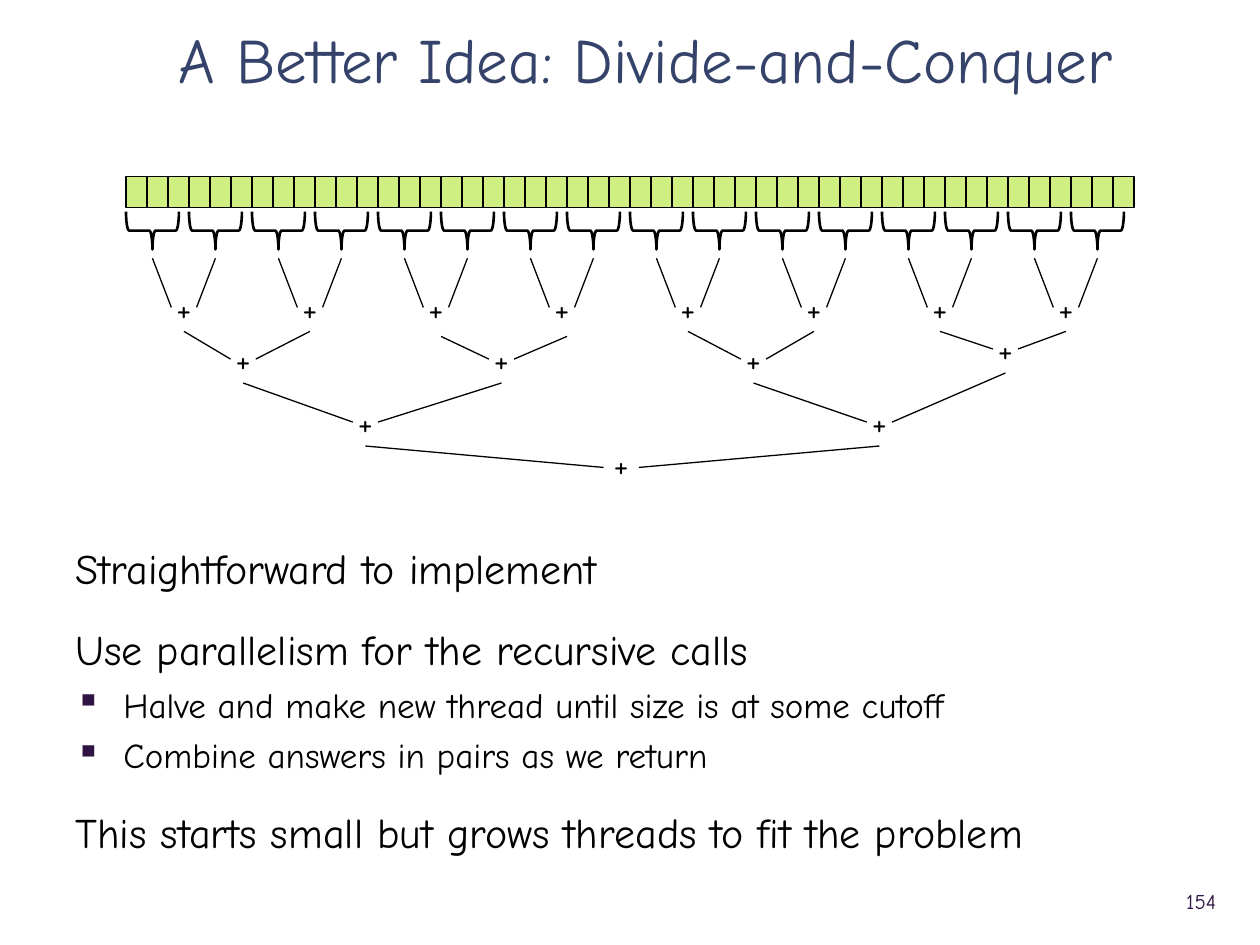
from lxml.etree import SubElement
from pptx import Presentation
from pptx.dml.color import RGBColor
from pptx.enum.shapes import MSO_CONNECTOR, MSO_SHAPE
from pptx.enum.text import MSO_ANCHOR, PP_ALIGN
from pptx.oxml.ns import qn
from pptx.util import Inches, Pt

FONT = "Comic Neue"
NAVY = RGBColor(0x35, 0x43, 0x6A)
PURPLE = RGBColor(0x2F, 0x13, 0x43)
GREEN = RGBColor(0xD0, 0xEF, 0x82)
BLACK = RGBColor(0, 0, 0)

presentation = Presentation()
presentation.slide_width = Inches(10)
presentation.slide_height = Inches(7.5)
slide = presentation.slides.add_slide(presentation.slide_layouts[6])


def style_text(paragraph, size, color, alignment=PP_ALIGN.LEFT):
    paragraph.alignment = alignment
    for run in paragraph.runs:
        run.font.name = FONT
        run.font.size = Pt(size)
        run.font.color.rgb = color


def add_label(text, left, top, width, height, size, color, alignment):
    box = slide.shapes.add_textbox(Inches(left), Inches(top), Inches(width), Inches(height))
    frame = box.text_frame
    frame.text = text
    frame.word_wrap = True
    frame.vertical_anchor = MSO_ANCHOR.MIDDLE
    style_text(frame.paragraphs[0], size, color, alignment)
    return frame


title = add_label("A Better Idea: Divide-and-Conquer", 0.5, 0.17, 9.25, 0.53, 36, NAVY, PP_ALIGN.CENTER)
title.paragraphs[0].line_spacing = 1.1

body_lines = [
    ("Straightforward to implement", False, 0),
    ("Use parallelism for the recursive calls", False, 17.5),
    ("Halve and make new thread until size is at some cutoff", True, 5),
    ("Combine answers in pairs as we return", True, 5),
    ("This starts small but grows threads to fit the problem", False, 17.5),
]
body = slide.shapes.add_textbox(Inches(0.5), Inches(4.26), Inches(9.25), Inches(3.17)).text_frame
body.word_wrap = True
body.text = "\n".join(text for text, bulleted, space in body_lines)
for paragraph, (text, bulleted, space) in zip(body.paragraphs, body_lines):
    paragraph.space_before = Pt(space)
    if bulleted:
        properties = paragraph._p.get_or_add_pPr()
        properties.set("marL", str(Inches(0.38)))
        properties.set("indent", str(-Inches(0.38)))
        bullet_color = SubElement(properties, qn("a:buClr"))
        SubElement(bullet_color, qn("a:srgbClr")).set("val", str(PURPLE))
        SubElement(properties, qn("a:buChar")).set("char", "▪")
    style_text(paragraph, 20 if bulleted else 24, BLACK)

add_label("154", 8.89, 6.95, 0.86, 0.4, 12, PURPLE, PP_ALIGN.RIGHT)

cell_width = 1 / 6
for index in range(48):
    cell = slide.shapes.add_shape(
        MSO_SHAPE.RECTANGLE, Inches(1 + index * cell_width), Inches(1.4), Inches(cell_width), Inches(0.25))
    cell.shadow.inherit = False
    cell.fill.solid()
    cell.fill.fore_color.rgb = GREEN
    cell.line.color.rgb = BLACK
    cell.line.width = Pt(0.75)

starts = []
for index in range(16):
    brace = slide.shapes.add_shape(
        MSO_SHAPE.LEFT_BRACE, Inches(1.06 + index * 0.5), Inches(1.62), Inches(0.3), Inches(0.42))
    brace.rotation = 270
    brace.shadow.inherit = False
    brace.fill.background()
    brace.line.color.rgb = BLACK
    brace.line.width = Pt(1.5)
    starts.append((1.21 + index * 0.5, 2.05))

plus_height = 0.38
tree_levels = [
    [(1.46 + index, 2.25, 0, 0.1, 0.19) for index in range(8)],
    [(1.93, 2.66, 0, 0.1, 0.19), (3.98, 2.66, 0.04, 0.1, 0.19),
     (5.98, 2.66, 0, 0.1, 0.19), (7.98, 2.58, 0, 0.1, 0.19)],
    [(2.9, 3.16, 0, 0.1, 0.19), (6.98, 3.16, 0, 0.1, 0.19)],
    [(4.93, 3.49, 0, 0.14, 0.22)],
]
for level in tree_levels:
    for index, (center, top, start_shift, gap, drop) in enumerate(level):
        for side, (start_x, start_y) in zip((-1, 1), starts[2 * index:2 * index + 2]):
            branch = slide.shapes.add_connector(
                MSO_CONNECTOR.STRAIGHT,
                Inches(start_x + start_shift), Inches(start_y + start_shift),
                Inches(center + side * gap), Inches(top + drop))
            branch.line.color.rgb = BLACK
            branch.line.width = Pt(0.75)
            SubElement(branch._element.spPr, qn("a:effectLst"))
        plus = add_label("+", center - 0.1, top, 0.2, plus_height, 20, BLACK, PP_ALIGN.CENTER)
        plus.word_wrap = False
        plus.vertical_anchor = MSO_ANCHOR.TOP
        plus.margin_left = plus.margin_right = Inches(0.03)
        plus.margin_top = plus.margin_bottom = Inches(0.02)
    starts = [(center, top + plus_height) for center, top, *rest in level]

presentation.save("out.pptx")
